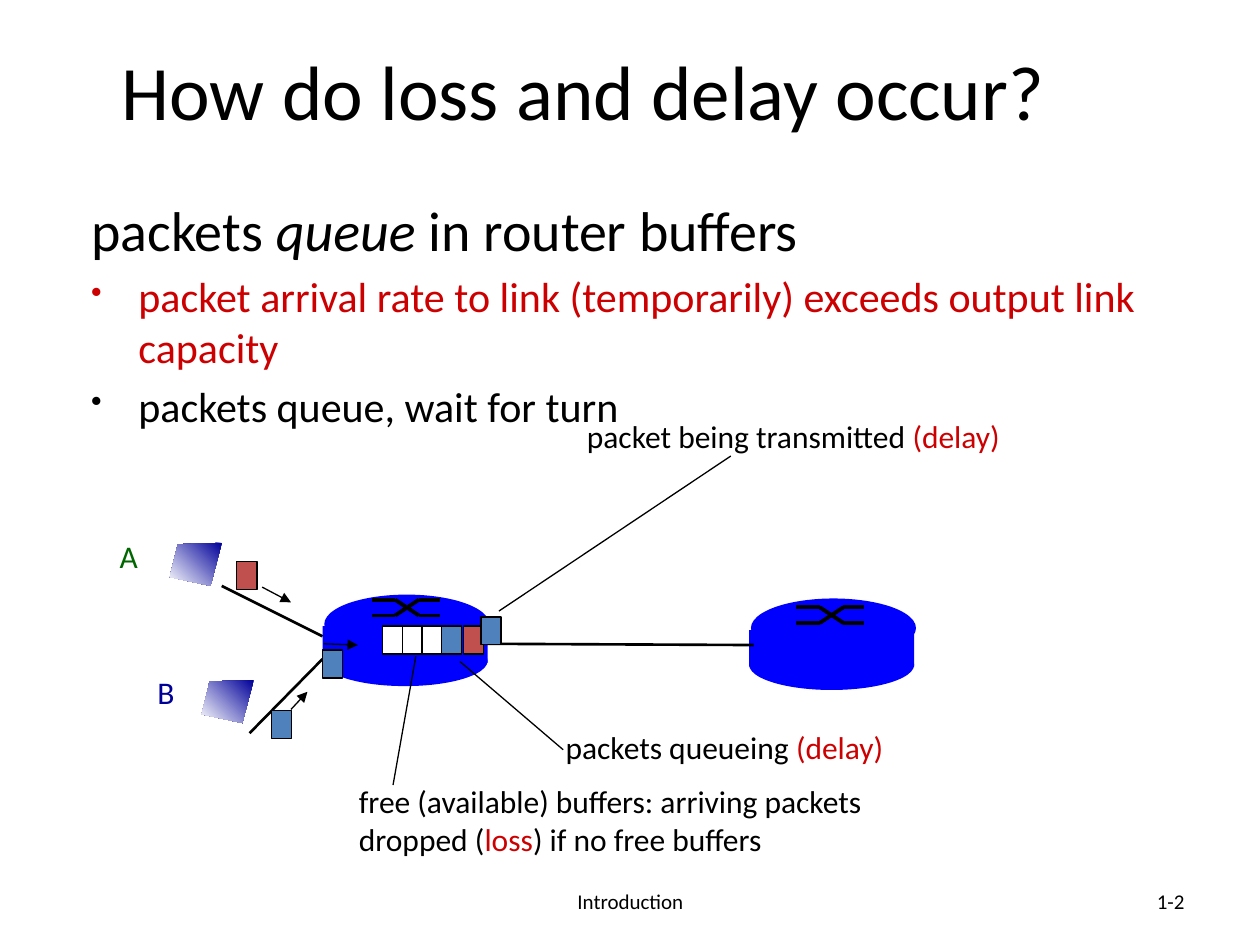
from lxml import etree
from pptx import Presentation
from pptx import util as u
from pptx.dml.color import RGBColor
from pptx.enum import shapes, text
from pptx.oxml.ns import qn

BLACK = RGBColor(0x00, 0x00, 0x00)
WHITE = RGBColor(0xFF, 0xFF, 0xFF)
RED = RGBColor(0xCC, 0x00, 0x00)
GREEN = RGBColor(0x00, 0x66, 0x00)
NAVY = RGBColor(0x00, 0x00, 0x99)
ROUTER_BLUE = RGBColor(0x00, 0x00, 0xFF)
PACKET_BLUE = RGBColor(0x4F, 0x81, 0xBD)
PACKET_RED = RGBColor(0xC0, 0x50, 0x4D)

FONT = "Calibri"
LEFT, CENTER, RIGHT = text.PP_ALIGN.LEFT, text.PP_ALIGN.CENTER, text.PP_ALIGN.RIGHT
TOP, MIDDLE = text.MSO_ANCHOR.TOP, text.MSO_ANCHOR.MIDDLE
OVAL, RECT = shapes.MSO_SHAPE.OVAL, shapes.MSO_SHAPE.RECTANGLE

# Text: frame (left, top, width, height), size, alignment, anchor, paragraphs of (words, colour)
TEXTS = [
    ((27.4, 6.5, 612, 90), 44, CENTER, MIDDLE, [[("How do loss and delay occur?", BLACK)]]),
    ((246.2, 500.4, 228.2, 28.8), 12, CENTER, MIDDLE, [[("Introduction", BLACK)]]),
    ((516.2, 500.4, 167.8, 28.8), 12, RIGHT, MIDDLE, [[("1-2", BLACK)]]),
    ((61.2, 303.1, 30.2, 36), 18, LEFT, TOP, [[("A", GREEN)]]),
    ((82.8, 380.9, 30.2, 36), 18, LEFT, TOP, [[("B", NAVY)]]),
    ((328.3, 234.7, 270.7, 28.8), 18, LEFT, TOP,
     [[("packet being transmitted ", BLACK), ("(delay)", RED)]]),
    ((316.1, 412.6, 215.3, 28.8), 18, LEFT, TOP,
     [[("packets queueing ", BLACK), ("(delay)", RED)]]),
    ((198, 443.5, 334.8, 50.4), 18, LEFT, TOP,
     [[("free (available) buffers: arriving packets", BLACK)],
      [("dropped (", BLACK), ("loss", RED), (") if no free buffers", BLACK)]]),
]

# Body: heading runs of (words, italic), then bullets of (words, colour)
BODY_FRAME = (45, 108, 675, 166.3)
HEADING = [("packets ", False), ("queue", True), (" in router buffers", False)]
BULLETS = [
    ("packet arrival rate to link (temporarily) exceeds output link capacity", RED),
    ("packets queue, wait for turn", BLACK),
]

# Router outlines and switch symbol, relative to each origin
ROUTERS = [(184.3, 339.8), (428.1, 342)]
ROUTER_PARTS = [(OVAL, 0, 23.5, 94.3, 28.8), (RECT, 0, 18, 94.3, 21), (OVAL, 1, 0, 94.3, 33.8)]
SWITCHES = [(212.4, 342.7), (455, 347)]
SWITCH_X = (0, 13.4, 27, 39)
SWITCH_HEIGHT = 9

# Lines: x1, y1, x2, y2
LINKS = [
    (126.7, 334.8, 184.3, 363.6),
    (142.6, 419, 184.3, 376.6),
    (277.9, 367.9, 430.6, 368.6),
]
POINTERS = [
    (417.6, 260.6, 285.1, 349.2),
    (321.8, 428.4, 262.8, 378),
    (224.6, 448.6, 237.6, 375.1),
]
ARROWS = [
    (185, 367.9, 204.5, 368.6),
    (166.3, 405.4, 175.7, 395.3),
    (149.8, 335.5, 166.3, 344.2),
]

# Packets: left, top, colour
PACKET_SIZE = (11.6, 15.9)
QUEUE_TOP = 357.8
QUEUE = [(218.7, WHITE), (230, WHITE), (241.2, WHITE), (252.3, PACKET_BLUE), (264.7, PACKET_RED)]
PACKETS = [(left, QUEUE_TOP, color) for left, color in QUEUE] + [
    (274.8, 352.6, PACKET_BLUE),
    (184.3, 371.5, PACKET_BLUE),
    (135.3, 321, PACKET_RED),
    (155, 406.1, PACKET_BLUE),
]

# Hosts A and B
HOSTS = [(97, 310.2), (115.2, 388.6)]
HOST_OUTLINE = [(29.8, 0), (4.6, 0.8), (0, 19.6), (23.3, 24.6)]

deck = Presentation()
deck.slide_width, deck.slide_height = u.Pt(720), u.Pt(540)
page = deck.slides.add_slide(deck.slide_layouts[6])


def add_box(frame, anchor=TOP):
    box = page.shapes.add_textbox(*map(u.Pt, frame))
    box.text_frame.word_wrap = True
    box.text_frame.vertical_anchor = anchor
    return box.text_frame


def paragraphs(frame, count):
    return [frame.paragraphs[0]] + [frame.add_paragraph() for _ in range(count - 1)]


def add_span(para, words, color, **format_values):
    span = para.add_run()
    span.text = words
    span.font.color.rgb = color
    for name, value in {"name": FONT, **format_values}.items():
        setattr(span.font, name, value)


def add_shape(kind, left, top, width, height, fill, line=None):
    shape = page.shapes.add_shape(kind, *map(u.Pt, (left, top, width, height)))
    shape.shadow.inherit = False
    shape.fill.solid()
    shape.fill.fore_color.rgb = fill
    if line is None:
        shape.line.fill.background()
    else:
        shape.line.color.rgb = line
        shape.line.width = u.Pt(0.75)


def add_line(ends, width, arrow=False):
    line = page.shapes.add_connector(shapes.MSO_CONNECTOR.STRAIGHT, *map(u.Pt, ends))
    line.line.color.rgb = BLACK
    line.line.width = u.Pt(width)
    properties = line._element.spPr
    etree.SubElement(properties, qn("a:effectLst"))
    if arrow:
        etree.SubElement(properties.find(qn("a:ln")), qn("a:tailEnd"), type="triangle")


# Body text
heading, *bullets = paragraphs(add_box(BODY_FRAME), 1 + len(BULLETS))
for words, italic in HEADING:
    add_span(heading, words, BLACK, size=u.Pt(32), italic=italic)
for para, (words, color) in zip(bullets, BULLETS):
    properties = para._p.get_or_add_pPr()
    properties.set("marL", str(u.Pt(27)))
    properties.set("indent", str(u.Pt(-27)))
    etree.SubElement(properties, qn("a:buSzPct"), val="75000")
    etree.SubElement(properties, qn("a:buChar"), char="•")
    para.space_before = u.Pt(4.8)
    add_span(para, words, color, size=u.Pt(24))

# Routers
for x, y in ROUTERS:
    for kind, dx, dy, width, height in ROUTER_PARTS:
        add_shape(kind, x + dx, y + dy, width, height, ROUTER_BLUE)

# Switch symbols: two mirrored strokes of three segments
for x, y in SWITCHES:
    a, b, c, d = (x + dx for dx in SWITCH_X)
    for start, end in ((y, y + SWITCH_HEIGHT), (y + SWITCH_HEIGHT, y)):
        for ends in ((a, start, b, start), (b, start, c, end), (c, end, d, end)):
            add_line(ends, 2.25)

# Links, packets, arrows and pointers
for ends in LINKS:
    add_line(ends, 1.5)
for left, top, color in PACKETS:
    add_shape(RECT, left, top, *PACKET_SIZE, color, BLACK)
for ends in ARROWS:
    add_line(ends, 0.75, arrow=True)
for ends in POINTERS:
    add_line(ends, 0.75)

# Hosts
for x, y in HOSTS:
    first, *rest = [(u.Pt(x + dx), u.Pt(y + dy)) for dx, dy in HOST_OUTLINE]
    builder = page.shapes.build_freeform(*first)
    builder.add_line_segments(rest, close=True)
    host = builder.convert_to_shape()
    host.shadow.inherit = False
    host.line.fill.background()
    host.fill.gradient()
    host.fill.gradient_angle = 225
    for stop, color in zip(host.fill.gradient_stops, (NAVY, WHITE)):
        stop.color.rgb = color

# Title, labels and footer
for frame, size, align, anchor, content in TEXTS:
    for para, spans in zip(paragraphs(add_box(frame, anchor), len(content)), content):
        para.alignment = align
        for words, color in spans:
            add_span(para, words, color, size=u.Pt(size))

deck.save("out.pptx")
